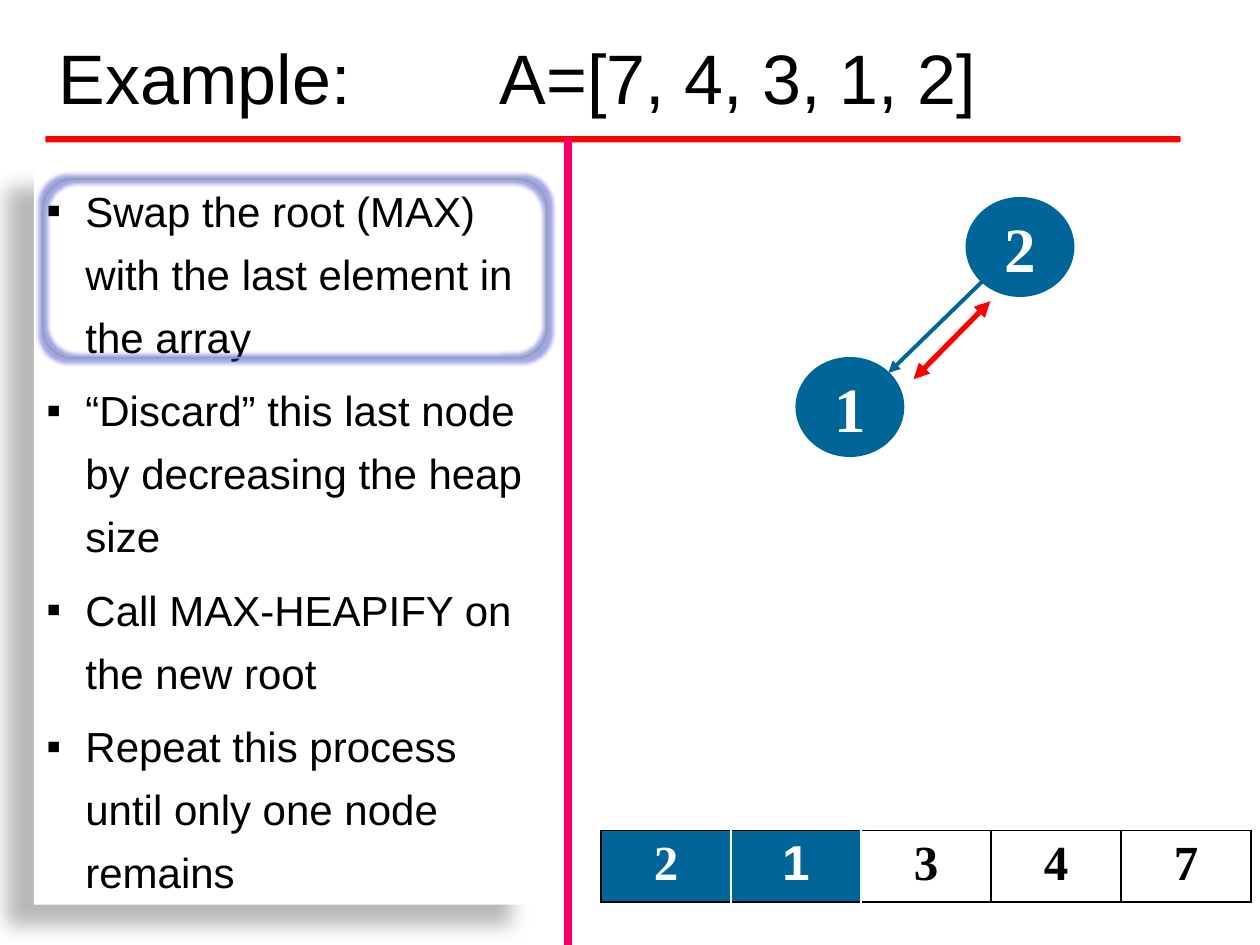
import pptx
import pptx.util
import pptx.dml.color
import pptx.enum.shapes
import pptx.enum.text
import pptx.oxml
import pptx.oxml.ns

COLS, ROWS = 100, 75
UNIT = pptx.util.Inches(10) / COLS
BLUE, RED, PINK, WHITE, BLACK = "006699", "FF0000", "FF0066", "FFFFFF", "000000"
NS = pptx.oxml.ns.nsdecls("a")
KIND = pptx.enum.shapes.MSO_SHAPE
ALIGN = pptx.enum.text.PP_ALIGN
ANCHOR = pptx.enum.text.MSO_ANCHOR
STEPS = [
    "Swap the root (MAX) with the last element in the array",
    "“Discard” this last node by decreasing the heap size",
    "Call MAX-HEAPIFY on the new root",
    "Repeat this process until only one node remains",
]
CELLS = [
    ("2", "Times New Roman", True),
    ("1", "Arial", True),
    ("3", "Times New Roman", False),
    ("4", "Times New Roman", False),
    ("7", "Times New Roman", False),
]


def grid(*vals):
    """Turn grid units into slide lengths."""
    return [pptx.util.Emu(round(v * UNIT)) for v in vals]


def tint(form, code):
    """Give a fill or font colour part a solid hex colour."""
    if hasattr(form, "solid"):
        form.solid()
        form = form.fore_color
    else:
        form = form.color
    form.rgb = pptx.dml.color.RGBColor.from_string(code)


def add_xml(parent, text):
    node = pptx.oxml.parse_xml(text)
    parent.append(node)
    return node


def add_run(para, text, size, face, code, bold=False):
    run = para.add_run()
    run.text = text
    run.font.size = pptx.util.Pt(size)
    run.font.name = face
    run.font.bold = bold
    tint(run.font, code)


def add_form(slide, kind, box, fill=None, line=None):
    form = slide.shapes.add_shape(kind, *grid(*box))
    form.shadow.inherit = False
    if fill:
        tint(form.fill, fill)
    else:
        form.fill.background()
    if line:
        tint(form.line.fill, line)
        form.line.width = pptx.util.Pt(1)
    else:
        form.line.fill.background()
    return form


def add_effect(form, inner):
    """Put one effect into the shape's effect list."""
    effects = form._element.spPr.find(pptx.oxml.ns.qn("a:effectLst"))
    add_xml(effects, inner)


def add_title(slide):
    box = slide.shapes.add_textbox(*grid(3.7, 1.1, 90, 9.9))
    frame = box.text_frame
    frame.word_wrap = True
    frame.vertical_anchor = ANCHOR.MIDDLE
    add_run(frame.paragraphs[0], "Example:\t\t\tA=[7, 4, 3, 1, 2]", 40, "Arial", BLACK)


def add_steps(slide):
    panel = add_form(slide, KIND.RECTANGLE, (2.7, 13.2, 40, 58.6), WHITE)
    add_effect(panel, f'<a:outerShdw {NS} blurRad="150000" dist="250000" dir="8460000" '
                      'algn="tl" rotWithShape="0"><a:srgbClr val="000000">'
                      '<a:alpha val="28000"/></a:srgbClr></a:outerShdw>')
    frame = panel.text_frame
    frame.word_wrap = True
    frame.auto_size = pptx.enum.text.MSO_AUTO_SIZE.SHAPE_TO_FIT_TEXT
    frame.vertical_anchor = ANCHOR.TOP
    indent = grid(3.1)[0]
    for num, step in enumerate(STEPS):
        para = frame.add_paragraph() if num else frame.paragraphs[0]
        para.alignment = ALIGN.LEFT
        para.line_spacing = pptx.util.Pt(36)
        para.space_after = pptx.util.Pt(6)
        props = para._p.get_or_add_pPr()
        props.set("marL", str(indent))
        props.set("indent", str(-indent))
        add_xml(props, f'<a:buFont {NS} typeface="Arial"/>')
        add_xml(props, f'<a:buChar {NS} char="▪"/>')
        add_run(para, step, 24, "Arial", BLACK)


def add_node(slide, left, top, text):
    node = add_form(slide, KIND.OVAL, (left, top, 8.5, 7.8), BLUE, BLUE)
    frame = node.text_frame
    frame.margin_left = frame.margin_right = frame.margin_top = frame.margin_bottom = 0
    frame.vertical_anchor = ANCHOR.MIDDLE
    para = frame.paragraphs[0]
    para.alignment = ALIGN.CENTER
    add_run(para, text, 36, "Times New Roman", WHITE, True)


def add_arrow(slide, start, end, code, width, ends):
    kind = pptx.enum.shapes.MSO_CONNECTOR.STRAIGHT
    arrow = slide.shapes.add_connector(kind, *grid(*start, *end))
    tint(arrow.line.fill, code)
    arrow.line.width = pptx.util.Pt(width)
    for end_tag in ends:
        add_xml(arrow.line._get_or_add_ln(), f'<a:{end_tag} {NS} type="triangle"/>')
    add_xml(arrow._element.spPr, f"<a:effectLst {NS}/>")


def add_edge(cell, side, code):
    add_xml(cell._tc.get_or_add_tcPr(),
            f'<a:ln{side} {NS} w="12700"><a:solidFill><a:srgbClr val="{code}"/>'
            f'</a:solidFill></a:ln{side}>')


def add_array(slide):
    frame = slide.shapes.add_table(1, len(CELLS), *grid(47.7, 65.9, 51.6, 5.7))
    table = frame.table
    table.first_row = table.horz_banding = False
    for num, (text, face, heap) in enumerate(CELLS):
        cell = table.cell(0, num)
        after_heap = num > 0 and CELLS[num - 1][2]
        add_edge(cell, "L", WHITE if after_heap else BLACK)
        add_edge(cell, "R", WHITE if heap else BLACK)
        add_edge(cell, "T", BLACK)
        add_edge(cell, "B", BLACK)
        tint(cell.fill, BLUE if heap else WHITE)
        para = cell.text_frame.paragraphs[0]
        para.alignment = ALIGN.CENTER
        add_run(para, text, 28, face, WHITE if heap else BLACK, True)


def add_focus(slide):
    """Ring the current step with a glowing outline."""
    ring = add_form(slide, KIND.ROUNDED_RECTANGLE, (3.4, 14.2, 40, 14.2), line="8AA6A8")
    add_effect(ring, f'<a:glow {NS} rad="63500"><a:srgbClr val="3333CC">'
                     '<a:alpha val="45000"/></a:srgbClr></a:glow>')


def main():
    deck = pptx.Presentation()
    deck.slide_width, deck.slide_height = grid(COLS, ROWS)
    slide = deck.slides.add_slide(deck.slide_layouts[6])
    add_form(slide, KIND.ROUNDED_RECTANGLE, (3.6, 10.8, 90.1, 0.5), RED)
    add_title(slide)
    add_node(slide, 76.7, 15.7, "2")
    add_node(slide, 63.2, 28.4, "1")
    add_arrow(slide, (78, 22.3), (70.5, 29.6), BLUE, 2.25, ["tailEnd"])
    add_steps(slide)
    add_array(slide)
    add_focus(slide)
    add_arrow(slide, (72.5, 30.1), (78.6, 23.9), RED, 3, ["headEnd", "tailEnd"])
    add_form(slide, KIND.RECTANGLE, (44.8, 11, 0.5, 64), PINK, PINK)
    deck.save("out.pptx")


if __name__ == "__main__":
    main()
